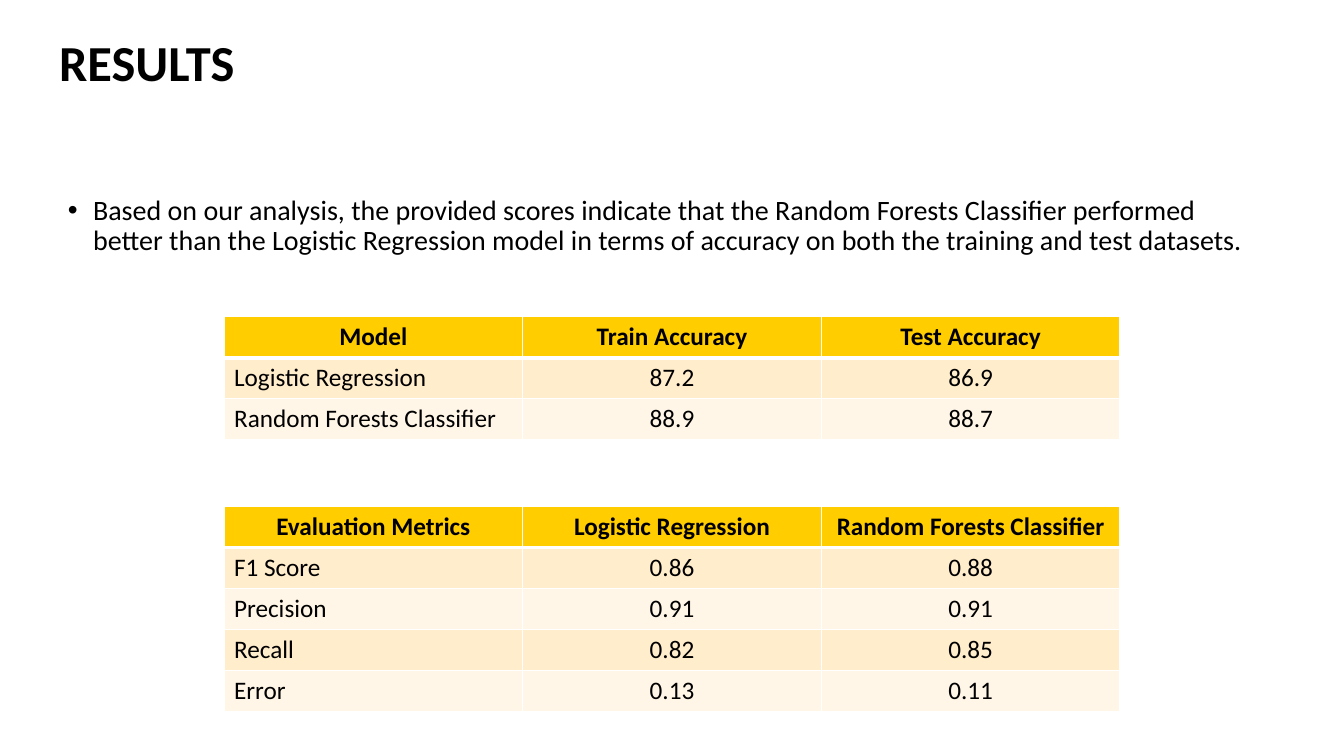
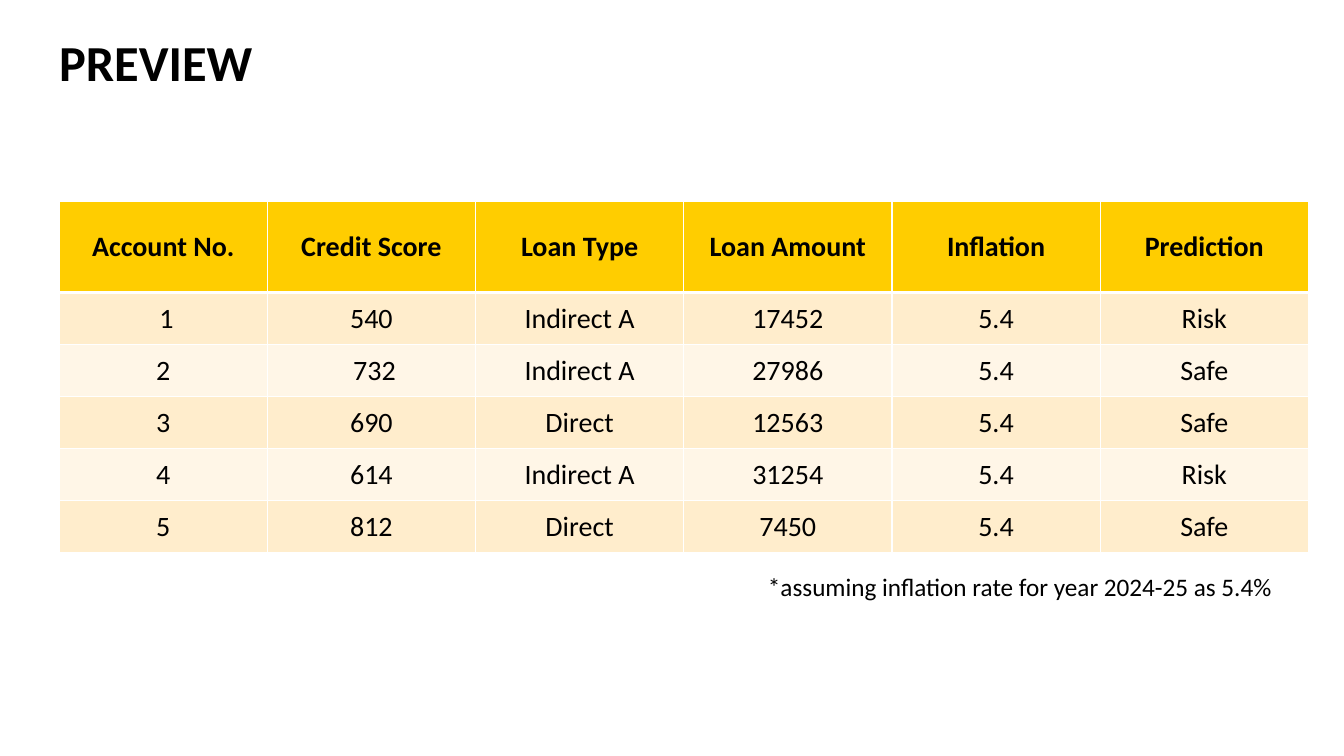
"""Build two slides of loan model results, with a title and tables on each."""
from dataclasses import dataclass

from pptx import Presentation
from pptx.dml.color import RGBColor as Rgb
from pptx.enum.text import MSO_ANCHOR as Anchor, MSO_AUTO_SIZE as AutoSize, PP_ALIGN as Align
from pptx.oxml import parse_xml
from pptx.oxml.ns import nsdecls
from pptx.util import Inches, Pt


@dataclass(frozen=True)
class Theme:
    font: str = "Calibri"
    ink: str = "000000"
    header: str = "FFCD00"
    bands: tuple = ("FFEDCC", "FFF6E7")
    border: str = "FFFFFF"
    thin: int = 1
    thick: int = 3
    title: int = 36
    text: int = 20
    small: int = 18


theme = Theme()
presentation = Presentation()
presentation.slide_width, presentation.slide_height = Inches(13.33), Inches(7.5)


def region(left, top, width, height):
    """Turn percentages of the slide into a position and size."""
    across, down = presentation.slide_width / 100, presentation.slide_height / 100
    return {"left": round(left * across), "top": round(top * down),
            "width": round(width * across), "height": round(height * down)}


def write(frame, text, size, bold=False, **paragraph_format):
    """Write one formatted paragraph and return it."""
    paragraph = frame.paragraphs[0]
    for name, value in paragraph_format.items():
        setattr(paragraph, name, value)
    run = paragraph.add_run()
    run.text = text
    for name, value in {"name": theme.font, "size": Pt(size), "bold": bold}.items():
        setattr(run.font, name, value)
    run.font.color.rgb = Rgb.from_string(theme.ink)
    return paragraph


title_region = region(4.4, 0, 71.6, 17.3)
title_frame = {"margin_left": 0, "vertical_anchor": Anchor.MIDDLE,
               "auto_size": AutoSize.NONE, "word_wrap": True}

accuracy = {
    "left": 16.67, "top": 41.9, "width": 66.67, "header": 5.42, "row": 5.42,
    "size": theme.small, "anchor": Anchor.TOP, "first": Align.LEFT,
    "cells": [
        ("Model", "Train Accuracy", "Test Accuracy"),
        ("Logistic Regression", "87.2", "86.9"),
        ("Random Forests Classifier", "88.9", "88.7"),
    ],
}
metrics = accuracy | {
    "top": 67,
    "cells": [
        ("Evaluation Metrics", "Logistic Regression", "Random Forests Classifier"),
        ("F1 Score", "0.86", "0.88"),
        ("Precision", "0.91", "0.91"),
        ("Recall", "0.82", "0.85"),
        ("Error", "0.13", "0.11"),
    ],
}
preview = {
    "left": 4.4, "top": 26.7, "width": 92.95, "header": 12, "row": 6.88,
    "size": theme.text, "anchor": Anchor.MIDDLE, "first": Align.CENTER,
    "cells": [
        ("Account No.", "Credit Score", "Loan Type", "Loan Amount", "Inflation", "Prediction"),
        (" 1", "540", "Indirect A", "17452", "5.4", "Risk"),
        ("2", " 732", "Indirect A", "27986", "5.4", "Safe"),
        ("3", "690", "Direct", "12563", "5.4", "Safe"),
        ("4", "614", "Indirect A", "31254", "5.4", "Risk"),
        ("5", "812", "Direct", "7450", "5.4", "Safe"),
    ],
}

title_and_content, title_only = (presentation.slide_layouts[index] for index in (1, 5))
pages = [("RESULTS", title_and_content, (accuracy, metrics)),
         ("PREVIEW", title_only, (preview,))]

for heading, layout, grids in pages:
    slide = presentation.slides.add_slide(layout)
    title = slide.shapes.title
    for name, value in title_region.items():
        setattr(title, name, value)
    for name, value in title_frame.items():
        setattr(title.text_frame, name, value)
    write(title.text_frame, heading, theme.title, True,
          alignment=Align.LEFT, line_spacing=0.9)

    for grid in grids:
        cells = grid["cells"]
        heights = [grid["header"]] + [grid["row"]] * (len(cells) - 1)
        place = region(grid["left"], grid["top"], grid["width"], sum(heights))
        table = slide.shapes.add_table(len(cells), len(cells[0]), **place).table
        table.first_row = table.horz_banding = False
        for row_index, values in enumerate(cells):
            table.rows[row_index].height = region(0, 0, 0, heights[row_index])["height"]
            is_header = row_index == 0
            fill = theme.header if is_header else theme.bands[(row_index - 1) % 2]
            widths = {"L": theme.thin, "R": theme.thin,
                      "T": theme.thick if row_index == 1 else theme.thin,
                      "B": theme.thick if is_header else theme.thin}
            for column_index, value in enumerate(values):
                cell = table.cell(row_index, column_index)
                cell.vertical_anchor = grid["anchor"]
                for side, width in widths.items():
                    cell._tc.get_or_add_tcPr().append(parse_xml(
                        f'<a:ln{side} {nsdecls("a")} w="{Pt(width)}"><a:solidFill>'
                        f'<a:srgbClr val="{theme.border}"/></a:solidFill></a:ln{side}>'))
                cell.fill.solid()
                cell.fill.fore_color.rgb = Rgb.from_string(fill)
                is_label = column_index == 0 and not is_header
                write(cell.text_frame, value, grid["size"], is_header,
                      alignment=grid["first"] if is_label else Align.CENTER)

results_slide, preview_slide = presentation.slides

body = results_slide.placeholders[1]
for name, value in region(4.3, 25.3, 90.15, 16.3).items():
    setattr(body, name, value)
body.text_frame.auto_size = AutoSize.NONE
bullet = write(
    body.text_frame,
    "Based on our analysis, the provided scores indicate that the Random Forests Classifier "
    "performed better than the Logistic Regression model in terms of accuracy on both the "
    "training and test datasets.",
    theme.text, line_spacing=0.9, space_before=Pt(0))
bullet_format = bullet._p.get_or_add_pPr()
for name, value in {"marL": Inches(0.25), "indent": -Inches(0.25)}.items():
    bullet_format.set(name, str(value))
bullet_format.append(parse_xml(f'<a:buChar {nsdecls("a")} char="•"/>'))

note = preview_slide.shapes.add_textbox(**region(56.4, 74.9, 40.95, 5.33))
note.text_frame.word_wrap = True
write(note.text_frame, "*assuming inflation rate for year 2024-25 as 5.4%", theme.small)

presentation.save("out.pptx")
